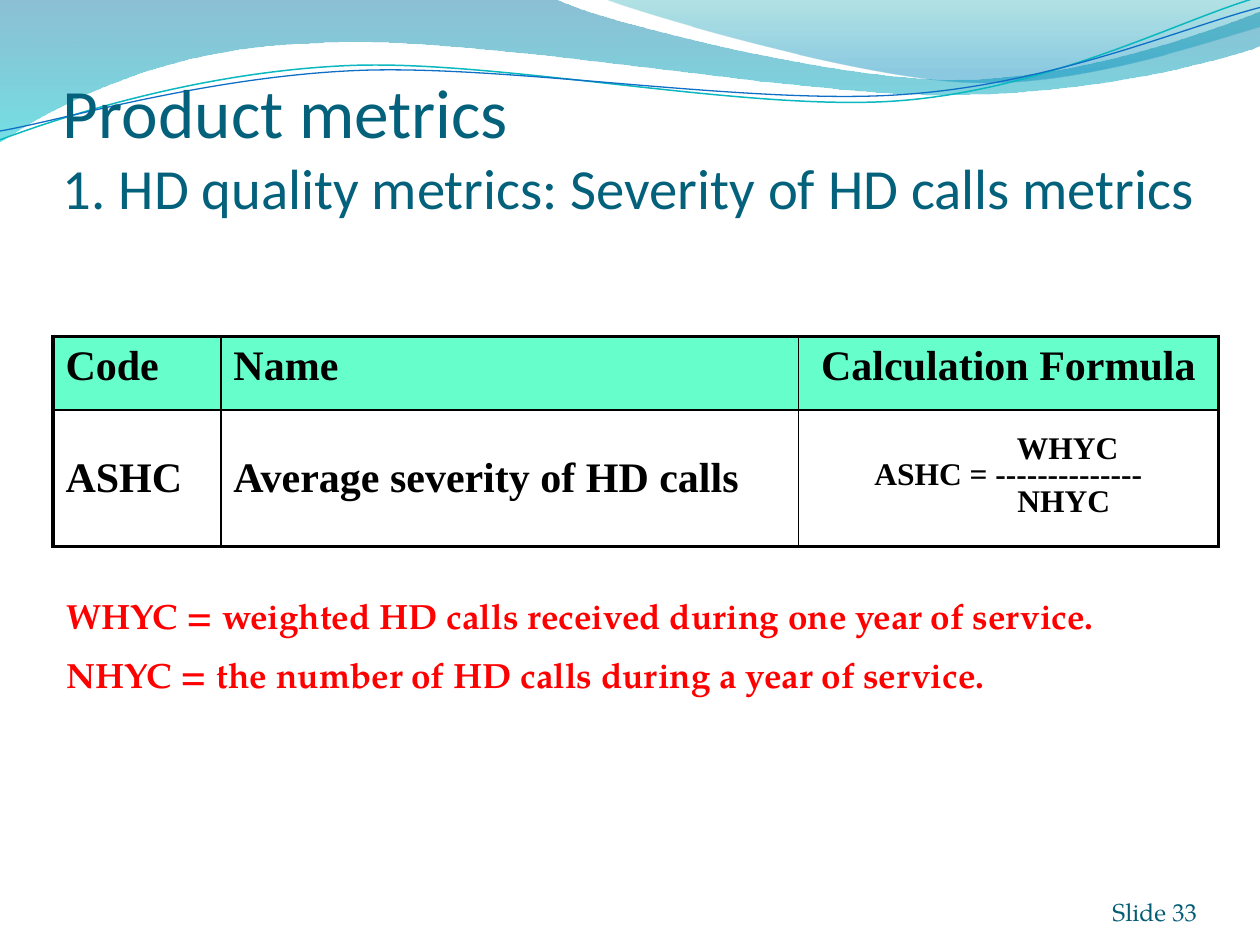
import math

import pptx
import pptx.util
import pptx.dml.color
import pptx.enum.text
import pptx.oxml
import pptx.oxml.ns

Inches, Pt = pptx.util.Inches, pptx.util.Pt
RGBColor = pptx.dml.color.RGBColor
ALIGN, ANCHOR = pptx.enum.text.PP_ALIGN, pptx.enum.text.MSO_ANCHOR
qn = pptx.oxml.ns.qn
SPACE = pptx.oxml.ns.nsdecls("a")

BLACK = RGBColor(0x00, 0x00, 0x00)
RED = RGBColor(0xFF, 0x00, 0x00)
MINT = RGBColor(0x66, 0xFF, 0xCC)
TITLE = RGBColor(0x04, 0x61, 0x7B)
FOOTER = RGBColor(0x04, 0x5D, 0x75)
OCEAN = RGBColor(0x00, 0x74, 0xA1)
CYAN = RGBColor(0x00, 0xC6, 0xCF)
TEAL = RGBColor(0x00, 0xA1, 0xA9)
AZURE = RGBColor(0x00, 0x8B, 0xBF)
AQUA = RGBColor(0x0A, 0xB8, 0xBF)
BLUE = RGBColor(0x0F, 0x6F, 0xC6)

SERIF, BODY, HEAD = "Times New Roman", "TeX Gyre Pagella", "Calibri"
TILT = -2.7

# Each wave is a list of steps: 2 numbers for a line, 6 for a Bezier curve
BAND = [(0, 0), (4.4, -0.01), (4.76, 0.17, 6.64, 0.63, 7.58, 0.63),
        (8.53, 0.63, 9.58, 0.26, 10, 0.09), (10.01, 0.36),
        (9.83, 0.44, 8.7, 0.76, 7.46, 0.75), (6.22, 0.75, 3.82, 0.28, 2.57, 0.34),
        (1.29, 0.36, 0.46, 0.83, -0.01, 1.13), (0, 0)]
CREST = [(4.79, -0.01), (5.09, 0.11, 6.82, 0.62, 7.69, 0.65),
         (8.56, 0.69, 9.61, 0.32, 10, 0.21), (10, 0), (4.79, -0.01)]
UPPER = [(0, 1.11), (0.48, 0.93, 1.58, 0.57, 2.77, 0.52),
         (3.95, 0.47, 5.93, 0.89, 7.13, 0.8), (8.33, 0.71, 9.38, 0.15, 9.98, -0.02)]
LOWER = [(0, 1.04), (0.47, 0.96, 1.64, 0.61, 2.83, 0.56),
         (4.03, 0.51, 5.97, 0.84, 7.17, 0.75), (8.36, 0.67, 9.41, 0.21, 10, 0.06)]


def turn(point, pivot, angle):
    x, y = point[0] - pivot[0], point[1] - pivot[1]
    cos, sin = math.cos(math.radians(angle)), math.sin(math.radians(angle))
    return pivot[0] + x * cos - y * sin, pivot[1] + x * sin + y * cos


def add_wave(shapes, steps, closed, pivot=(0, 0), tilt=0):
    """Draw the steps, with the frame tilted about the pivot."""
    points = [turn(step[i:i + 2], pivot, -tilt)
              for step in steps for i in range(0, len(step), 2)]
    points = [(Inches(x), Inches(y)) for x, y in points]
    pen = shapes.build_freeform(*points[0])
    pen.add_line_segments(points[1:], close=closed)
    wave = pen.convert_to_shape()
    wave.shadow.inherit = False
    wave.rotation = tilt % 360

    # Join each three segments of a curve step into one Bezier
    lines = iter(list(wave._element.iter(qn("a:lnTo"))))
    for step in steps[1:]:
        trio = [next(lines) for _ in range(len(step) // 2)]
        if len(trio) == 3:
            curve = pptx.oxml.parse_xml(f"<a:cubicBezTo {SPACE}/>")
            trio[0].addprevious(curve)
            for line in trio:
                curve.append(line[0])
                line.getparent().remove(line)
    return wave


def add_fill(shapes, steps, stops):
    wave = add_wave(shapes, steps, True)
    wave.line.fill.background()
    wave.fill.gradient()
    wave.fill.gradient_angle = 270
    for stop, (place, color, _) in zip(wave.fill.gradient_stops, stops):
        stop.position = place
        stop.color.rgb = color
    tints = wave._element.spPr.iter(qn("a:srgbClr"))
    for tint, (_, _, alpha) in zip(tints, stops):
        tint.append(pptx.oxml.parse_xml(f'<a:alpha {SPACE} val="{alpha * 1000}"/>'))


def add_waves(slide):
    add_fill(slide.shapes, BAND, [(0, OCEAN, 45), (1, CYAN, 55)])
    add_fill(slide.shapes, CREST, [(0, TEAL, 30), (0.8, AZURE, 45)])
    group = slide.shapes.add_group_shape()
    for steps, pivot, color, width in ((UPPER, (4.99, 0.57), AQUA, 0.85),
                                       (LOWER, (5, 0.59), BLUE, 0.75)):
        wave = add_wave(group.shapes, steps, False, pivot, TILT)
        wave.fill.background()
        wave.line.color.rgb = color
        wave.line.width = Pt(width)


def style(font, size, name, color, bold=False):
    font.size, font.name, font.bold = Pt(size), name, bold
    font.color.rgb = color


def add_box(slide, box, insets, anchor):
    frame = slide.shapes.add_textbox(*map(Inches, box)).text_frame
    frame.word_wrap = True
    frame.vertical_anchor = anchor
    (frame.margin_left, frame.margin_top,
     frame.margin_right, frame.margin_bottom) = map(Inches, insets)
    return frame


def add_title(slide, box):
    para = add_box(slide, box, (0, 0.05, 0, 0), ANCHOR.BOTTOM).paragraphs[0]
    style(para.font, 39.6, HEAD, TITLE)
    para.add_run().text = "Product metrics"
    para.add_line_break()
    run = para.add_run()
    run.text = "1. HD quality metrics: Severity of HD calls metrics"
    run.font.size = Pt(32.4)


def set_edges(cell, widths):
    props = cell._tc.get_or_add_tcPr()
    for side, width in zip("LRTB", widths):
        props.append(pptx.oxml.parse_xml(
            f'<a:ln{side} {SPACE} w="{Pt(width)}">'
            f'<a:solidFill><a:srgbClr val="{BLACK}"/></a:solidFill></a:ln{side}>'))


def add_table(slide, box):
    rows = [("Code", "Name", "Calculation Formula"),
            ("ASHC", "Average severity of HD calls",
             "WHYC\nASHC = --------------\nNHYC")]
    widths, heights = (4 / 3, 55 / 12, 10 / 3), (7 / 12, 13 / 12)
    table = slide.shapes.add_table(2, 3, *map(Inches, box)).table
    table.first_row = table.horz_banding = False
    for col, width in zip(table.columns, widths):
        col.width = Inches(width)
    for row, height in zip(table.rows, heights):
        row.height = Inches(height)
    for r, texts in enumerate(rows):
        for c, text in enumerate(texts):
            cell = table.cell(r, c)
            cell.text = text
            outer = (c == 0, c == 2, r == 0, r == 1)
            set_edges(cell, [2.25 if edge else 1 for edge in outer])
            if r == 0:
                cell.fill.solid()
                cell.fill.fore_color.rgb = MINT
            else:
                cell.fill.background()
                cell.vertical_anchor = ANCHOR.MIDDLE
            for para in cell.text_frame.paragraphs:
                style(para.font, 24, SERIF, BLACK, True)
                para.space_before = Pt(4.4)
                if c == 2:
                    para.alignment = ALIGN.CENTER

    # Fraction: the indents set both terms over the dashes
    for para, indent in zip(table.cell(1, 2).text_frame.paragraphs, (0.94, 0, 0.88)):
        para.font.size = Pt(18)
        para.space_before = Pt(0)
        para.line_spacing = 0.75
        para._p.get_or_add_pPr().set("marL", str(Inches(indent)))


def add_legend(slide, box):
    frame = add_box(slide, box, (0.1, 0.05, 0.1, 0.05), ANCHOR.TOP)
    frame.text = ("WHYC = weighted HD calls received during one year of service.\n"
                  "NHYC = the number of HD calls during a year of service.")
    for para in frame.paragraphs:
        style(para.font, 20, BODY, RED, True)
        para.space_before = Pt(9.6)


def add_number(slide, box):
    para = add_box(slide, box, (0, 0, 0, 0), ANCHOR.BOTTOM).paragraphs[0]
    para.text = "Slide 33"
    para.alignment = ALIGN.RIGHT
    style(para.font, 14, BODY, FOOTER)


def main():
    deck = pptx.Presentation()
    deck.slide_width, deck.slide_height = Inches(10), Inches(7.5)
    slide = deck.slides.add_slide(deck.slide_layouts[6])
    add_waves(slide)
    add_table(slide, (0.42, 2.67, 9.25, 1.67))
    add_legend(slide, (0.43, 4.67, 9.07, 0.94))
    add_title(slide, (0.5, 0.5, 9.17, 1.25))
    add_number(slide, (8.67, 6.95, 0.83, 0.4))
    deck.save("out.pptx")


if __name__ == "__main__":
    main()
